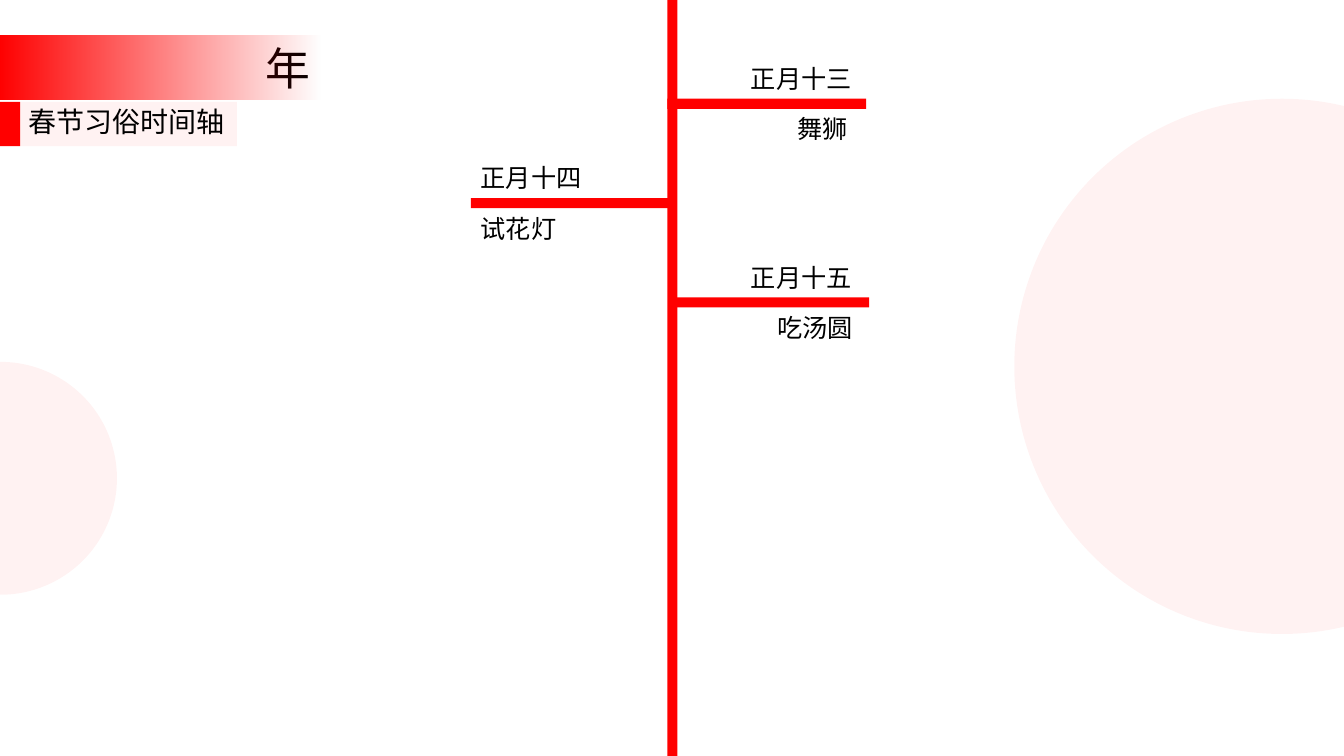
from lxml.etree import SubElement
from pptx import Presentation
from pptx.dml.color import RGBColor
from pptx.enum.shapes import MSO_SHAPE as Preset
from pptx.enum.text import MSO_AUTO_SIZE as AutoSize, PP_ALIGN as Align
from pptx.oxml.ns import qn
from pptx.util import Inches, Pt

COLORS = {"red": "FF0000", "text": "000000"}
BAR = 0.1
BRANCH_LENGTH = 1.97
LABEL_HEIGHT = 0.4
FIRST_BRANCH_TOP, BRANCH_STEP = 0.98, 0.985
BRANCHES = [
    (6.62, ("正月十三", 7.35, 1.27), ("舞狮", 7.81, 0.78)),
    (4.67, ("正月十四", 4.67, 1.24), ("试花灯", 4.67, 0.96)),
    (6.65, ("正月十五", 7.35, 1.27), ("吃汤圆", 7.61, 1.01)),
]


def color(name):
    """Return the named colour."""
    return RGBColor.from_string(COLORS[name])


def set_alpha(color_element, percent):
    """Give a colour element an opacity in percent."""
    SubElement(color_element, qn("a:alpha"), val=str(percent * 1000))


def add_block(shapes, place, preset=Preset.RECTANGLE, opacity=100):
    """Add a red shape without outline."""
    block = shapes.add_shape(preset, *map(Inches, place))
    block.shadow.inherit = False
    block.line.fill.background()
    block.fill.solid()
    block.fill.fore_color.rgb = color("red")
    if opacity < 100:
        set_alpha(next(block.element.spPr.iter(qn("a:srgbClr"))), opacity)
    return block


def add_fading_band(shapes, place):
    """Add a band that fades from red to clear, left to right."""
    band = add_block(shapes, place)
    band.fill.gradient()
    band.fill.gradient_angle = 0
    for stop in band.fill.gradient_stops:
        stop.color.rgb = color("red")
    set_alpha(list(band.element.spPr.iter(qn("a:srgbClr")))[-1], 0)


def add_label(shapes, text, place, size=18, font="Arial", align=Align.LEFT):
    """Add a one-line text box."""
    box = shapes.add_textbox(*map(Inches, place))
    box.text_frame.word_wrap = True
    box.text_frame.auto_size = AutoSize.SHAPE_TO_FIT_TEXT
    para = box.text_frame.paragraphs[0]
    para.alignment = align
    span = para.add_run()
    span.text = text
    for name, value in {"size": Pt(size), "name": font}.items():
        setattr(span.font, name, value)
    span.font.color.rgb = color("text")


def add_heading(page):
    """Add the title band and the subtitle strip."""
    shapes = page.shapes.add_group_shape().shapes
    add_label(shapes, "年", (0, 0.35, 3.18, 0.64), 32, "Noto Sans CJK SC", Align.RIGHT)
    add_fading_band(shapes, (0, 0.35, 3.19, 0.64))
    add_block(shapes, (0.2, 1.01, 2.15, 0.44), opacity=5)
    add_block(shapes, (0, 1.01, 0.2, 0.44))
    add_label(shapes, "春节习俗时间轴", (0.18, 0.99, 2.17, 0.44), 20)


def add_branch(page, top, left, date, custom):
    """Add a timeline branch with its date above and custom below."""
    shapes = page.shapes.add_group_shape().shapes
    add_block(shapes, (left, top, BRANCH_LENGTH, BAR))
    for (text, start, width), label_top in (
        (date, top - LABEL_HEIGHT),
        (custom, top + BAR),
    ):
        add_label(shapes, text, (start, label_top, width, LABEL_HEIGHT))


def main():
    """Build and save the slide."""
    deck = Presentation()
    deck.slide_width, deck.slide_height = Inches(13.33), Inches(7.5)
    page = deck.slides.add_slide(deck.slide_layouts[6])
    for left, top, diameter in ((10.06, 0.98, 5.31), (-1.15, 3.59, 2.31)):
        add_block(page.shapes, (left, top, diameter, diameter), Preset.OVAL, 5)
    add_heading(page)
    add_block(page.shapes, (6.62, 0, BAR, 7.5))
    for index, branch in enumerate(BRANCHES):
        add_branch(page, FIRST_BRANCH_TOP + index * BRANCH_STEP, *branch)
    deck.save("out.pptx")


if __name__ == "__main__":
    main()
